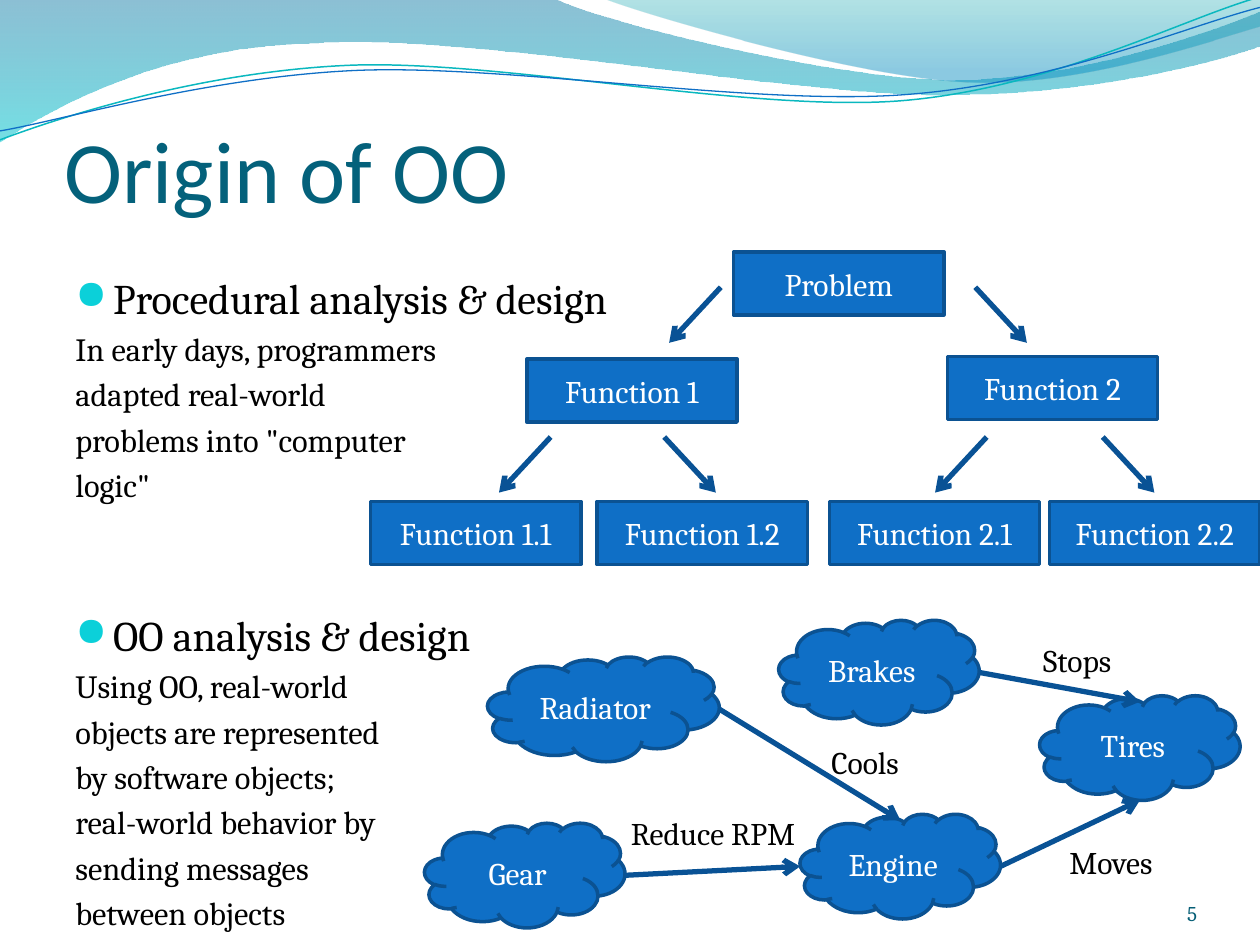
from dataclasses import dataclass

from lxml import etree
from pptx import Presentation
from pptx.dml.color import RGBColor
from pptx.enum.shapes import MSO_CONNECTOR, MSO_SHAPE
from pptx.enum.text import MSO_ANCHOR, PP_ALIGN
from pptx.oxml.ns import qn
from pptx.util import Cm, Pt

RECT, CLOUD = MSO_SHAPE.RECTANGLE, MSO_SHAPE.CLOUD
STRAIGHT = MSO_CONNECTOR.STRAIGHT
TOP, MIDDLE, BOTTOM = MSO_ANCHOR.TOP, MSO_ANCHOR.MIDDLE, MSO_ANCHOR.BOTTOM
LEFT, CENTER, RIGHT = PP_ALIGN.LEFT, PP_ALIGN.CENTER, PP_ALIGN.RIGHT


@dataclass(frozen=True)
class Theme:
    heading_font: str = "Calibri"
    body_font: str = "Cambria"
    bullet_font: str = "OpenSymbol"
    title: str = "04617B"
    text: str = "000000"
    white: str = "FFFFFF"
    fill: str = "0F6FC6"
    border: str = "0B5292"
    arrow: str = "095295"
    bullet: str = "0BD0D9"
    number: str = "045D75"
    teal: str = "0AB8BF"
    title_size: float = 50
    head_size: float = 24.1
    body_size: float = 18.5
    label_size: float = 18
    number_size: float = 12


T = Theme()
WAVES = [
    ((0, 0), [[(11.18, -0.03)], [(12.09, 0.43), (16.87, 1.6), (19.25, 1.6)],
              [(21.67, 1.6), (24.33, 0.66), (25.4, 0.23)], [(25.43, 0.91)],
              [(24.97, 1.12), (22.1, 1.93), (18.95, 1.91)],
              [(15.8, 1.91), (9.7, 0.71), (6.53, 0.86)],
              [(3.28, 0.91), (1.17, 2.11), (-0.03, 2.87)]],
     [(0, "0074A1", 45), (1, "00C6CF", 55)]),
    ((12.17, -0.03), [[(12.93, 0.28), (17.32, 1.57), (19.53, 1.65)],
                      [(21.74, 1.75), (24.41, 0.81), (25.4, 0.53)], [(25.4, 0)]],
     [(0, "00A1A9", 30), (0.8, "008BBF", 45)]),
]
STRANDS = [
    ((-0.05, 2.22), [[(1.19, 1.82), (4.02, 1.04), (7.05, 1.05)],
                     [(10.05, 1.07), (15.02, 2.37), (18.08, 2.29)],
                     [(21.13, 2.2), (23.87, 0.91), (25.41, 0.55)]], T.teal, 0.85),
    ((-0.04, 2.04), [[(1.16, 1.9), (4.18, 1.15), (7.2, 1.16)],
                     [(10.25, 1.18), (15.13, 2.25), (18.18, 2.17)],
                     [(21.21, 2.1), (23.93, 1.06), (25.45, 0.75)]], T.fill, 0.75),
]
TOPICS = [
    ("Procedural analysis & design",
     ["In early days, programmers", "adapted real-world", 'problems into "computer', 'logic"']),
    ("OO analysis & design",
     ["Using OO, real-world", "objects are represented", "by software objects;",
      "real-world behavior by", "sending messages", "between objects"]),
]


def rgb(color):
    return RGBColor.from_string(color)


def style(p, size, color, font=T.body_font, align=LEFT):
    p.alignment = align
    for r in p.runs:
        r.font.size, r.font.name = Pt(size), font
        r.font.color.rgb = rgb(color)


def add_curve(s, start, segments, closed):
    units = [[(round(x * 100), round(y * 100)) for x, y in seg] for seg in segments]
    builder = s.shapes.build_freeform(round(start[0] * 100), round(start[1] * 100),
                                      scale=float(Cm(0.01)))
    builder.add_line_segments([point for seg in units for point in seg], close=closed)
    sp = builder.convert_to_shape()
    sp.shadow.inherit = False
    lines = iter(list(sp.element.spPr.iter(qn("a:lnTo"))))
    for seg in units:
        first, *others = [next(lines) for _ in seg]
        if others:
            first.tag = qn("a:cubicBezTo")
            for line in others:
                first.append(line[0])
                line.getparent().remove(line)
    return sp


def add_waves(s):
    for start, segments, stops in WAVES:
        sp = add_curve(s, start, segments, True)
        sp.line.fill.background()
        sp.fill.gradient()
        sp.fill.gradient_angle = 270
        for stop, (position, color, _) in zip(sp.fill.gradient_stops, stops):
            stop.position = position
            stop.color.rgb = rgb(color)
        for node, (_, _, alpha) in zip(sp.element.spPr.iter(qn("a:srgbClr")), stops):
            etree.SubElement(node, qn("a:alpha"), val=str(alpha * 1000))
    for start, segments, color, width in STRANDS:
        sp = add_curve(s, start, segments, False)
        sp.rotation = 357.3
        sp.fill.background()
        sp.line.color.rgb, sp.line.width = rgb(color), Pt(width)


def add_title(s, x, y, w, h):
    sp = s.shapes.title
    sp.left, sp.top, sp.width, sp.height = Cm(x), Cm(y), Cm(w), Cm(h)
    tf = sp.text_frame
    tf.text = "Origin of OO"
    tf.vertical_anchor = BOTTOM
    tf.margin_left = tf.margin_right = tf.margin_bottom = 0
    style(tf.paragraphs[0], T.title_size, T.title, T.heading_font)


def add_text(s, text, x, y, w, h, size=T.label_size, color=T.text, align=LEFT, anchor=TOP):
    tf = s.shapes.add_textbox(Cm(x), Cm(y), Cm(w), Cm(h)).text_frame
    tf.text, tf.vertical_anchor = text, anchor
    style(tf.paragraphs[0], size, color, align=align)
    return tf


def add_bullet(p):
    pPr = p._p.get_or_add_pPr()
    pPr.set("marL", str(Cm(0.76)))
    pPr.set("indent", str(Cm(-0.76)))
    color = etree.SubElement(pPr, qn("a:buClr"))
    etree.SubElement(color, qn("a:srgbClr"), val=T.bullet)
    etree.SubElement(pPr, qn("a:buSzPct"), val="95000")
    etree.SubElement(pPr, qn("a:buFont"), typeface=T.bullet_font)
    etree.SubElement(pPr, qn("a:buChar"), char="●")


def add_topics(s, x, y, w, h):
    tf = s.shapes.add_textbox(Cm(x), Cm(y), Cm(w), Cm(h)).text_frame
    tf.word_wrap = True
    for i, (heading, lines) in enumerate(TOPICS):
        p = tf.add_paragraph() if i else tf.paragraphs[0]
        p.text = heading
        p.space_before = Pt(60 if i else 0)
        style(p, T.head_size, T.text)
        add_bullet(p)
        for line in lines:
            p = tf.add_paragraph()
            p.text, p.space_before = line, Pt(3.7)
            style(p, T.body_size, T.text)


def add_node(s, kind, text, x, y, w, h):
    sp = s.shapes.add_shape(kind, Cm(x), Cm(y), Cm(w), Cm(h))
    sp.shadow.inherit = False
    sp.fill.solid()
    sp.fill.fore_color.rgb = rgb(T.fill)
    sp.line.color.rgb, sp.line.width = rgb(T.border), Pt(2)
    tf = sp.text_frame
    tf.text, tf.vertical_anchor = text, MIDDLE
    style(tf.paragraphs[0], T.label_size, T.white, align=CENTER)


def add_arrow(s, start, end):
    cx = s.shapes.add_connector(STRAIGHT, *(Cm(v) for v in (*start, *end)))
    cx.line.color.rgb, cx.line.width = rgb(T.arrow), Pt(3)
    etree.SubElement(cx.line._get_or_add_ln(), qn("a:tailEnd"), type="arrow")
    etree.SubElement(cx._element.spPr, qn("a:effectLst"))


def add_function_tree(s, x, y):
    for text, dx, dy in [("Problem", 7.32, 0), ("Function 1", 3.15, 2.16),
                         ("Function 2", 11.63, 2.11), ("Function 1.1", 0, 5.03),
                         ("Function 1.2", 4.57, 5.03), ("Function 2.1", 9.25, 5.03),
                         ("Function 2.2", 13.69, 5.03)]:
        add_node(s, RECT, text, x + dx, y + dy, 4.24, 1.27)
    for dx, dy, side in [(7.06, 0.71, -1), (3.63, 3.73, -1), (12.42, 3.73, -1),
                         (12.19, 0.71, 1), (5.92, 3.73, 1), (14.76, 3.73, 1)]:
        add_arrow(s, (x + dx, y + dy), (x + dx + side * 1.04, y + dy + 1.12))


def add_object_net(s, x, y):
    height = 2.11
    clouds = {"Engine": (7.57, 3.91, 4.04), "Brakes": (7.14, 0, 4.04),
              "Tires": (12.4, 1.52, 4.04), "Gear": (0, 4.09, 4.04),
              "Radiator": (1.27, 0.74, 4.67)}
    sides = {"top": (0.5, 0.06), "bottom": (0.5, 1), "left": (0, 0.5), "right": (1, 0.5)}

    def edge(name, side):
        dx, dy, w = clouds[name]
        fx, fy = sides[side]
        return x + dx + fx * w, y + dy + fy * height

    for name, (dx, dy, w) in clouds.items():
        add_node(s, CLOUD, name, x + dx, y + dy, w, height)
    for source, target, side, label, dx, dy, w in [
            ("Brakes", "Tires", "top", "Stops", 12.22, 0.3, 2.03),
            ("Engine", "Tires", "bottom", "Moves", 12.75, 4.37, 2.29),
            ("Radiator", "Engine", "top", "Cools", 7.95, 2.36, 2.06),
            ("Gear", "Engine", "left", "Reduce RPM", 3.91, 3.78, 4.04)]:
        add_arrow(s, edge(source, "right"), edge(target, side))
        add_text(s, label, x + dx, y + dy, w, 1.02)


def add_number(s, x, y, w, h):
    tf = add_text(s, "5", x, y, w, h, T.number_size, T.number, RIGHT, BOTTOM)
    tf.word_wrap = True
    tf.margin_left = tf.margin_right = tf.margin_top = tf.margin_bottom = 0


prs = Presentation()
prs.slide_width, prs.slide_height = Cm(25.4), Cm(19.05)
s = prs.slides.add_slide(prs.slide_layouts[5])
add_waves(s)
add_title(s, 1.3, 1.27, 22.86, 3.18)
add_topics(s, 1.27, 5.36, 22.86, 12.19)
add_function_tree(s, 7.47, 5.08)
add_object_net(s, 8.56, 12.5)
add_number(s, 22.02, 17.65, 2.11, 1.02)
prs.save("out.pptx")
